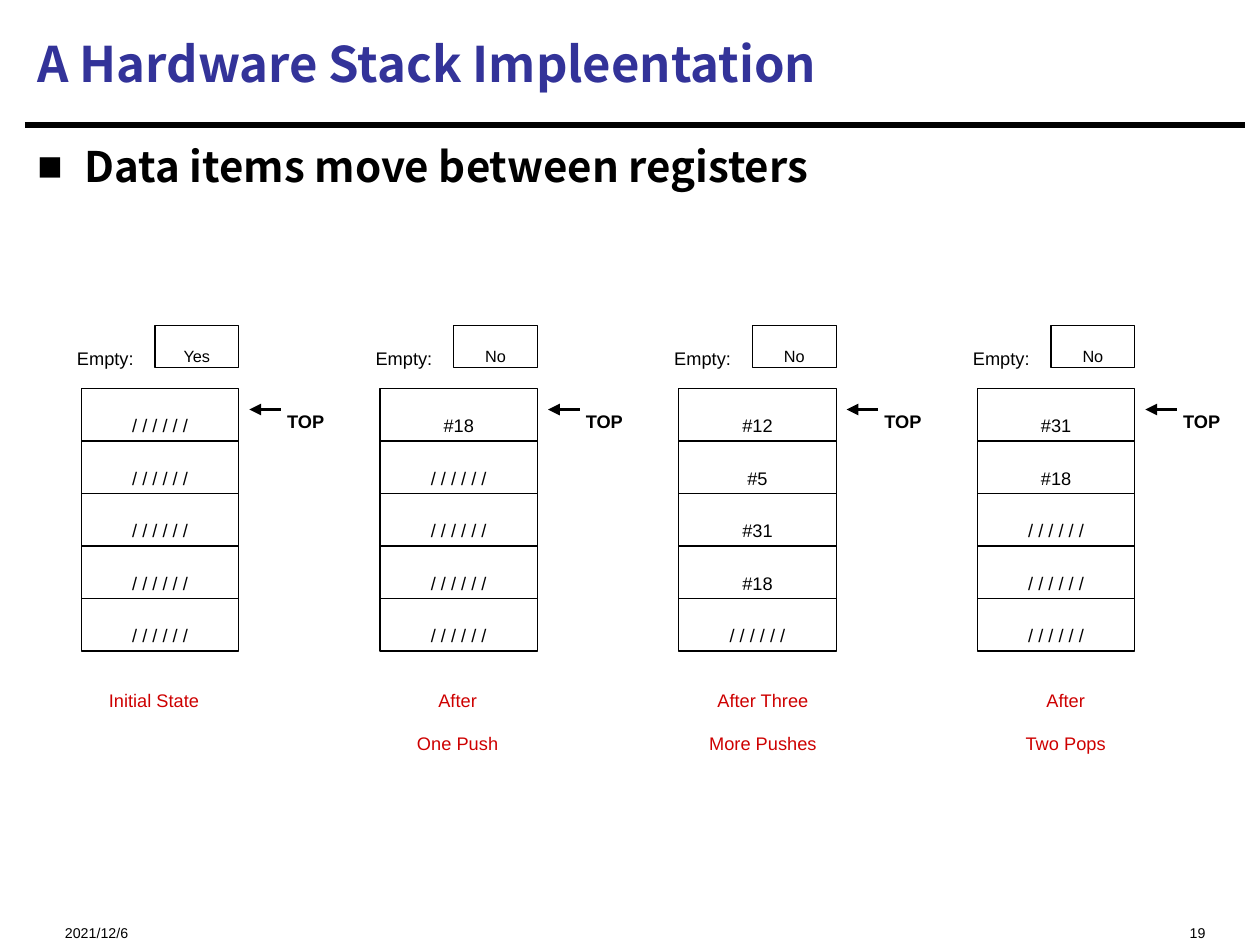
from lxml import etree
from pptx import Presentation
from pptx.dml.color import RGBColor
from pptx.enum.shapes import MSO_CONNECTOR, MSO_SHAPE
from pptx.enum.text import MSO_ANCHOR, MSO_AUTO_SIZE, PP_ALIGN
from pptx.oxml.ns import qn
from pptx.util import Pt

LEFT, CENTER, RIGHT = PP_ALIGN.LEFT, PP_ALIGN.CENTER, PP_ALIGN.RIGHT
TOP, MIDDLE = MSO_ANCHOR.TOP, MSO_ANCHOR.MIDDLE
GROW = MSO_AUTO_SIZE.SHAPE_TO_FIT_TEXT
RECTANGLE, STRAIGHT = MSO_SHAPE.RECTANGLE, MSO_CONNECTOR.STRAIGHT

BLACK, NAVY, RED = "000000", "333399", "CE0000"
HEADING = {"name": "Noto Sans CJK SC", "bold": True}
LABEL = {"name": "Arial", "size": Pt(18)}
SMALL = {**LABEL, "size": Pt(16)}
FOOTER = {**LABEL, "size": Pt(14)}
HUGGING = {"word_wrap": False, "auto_size": GROW}

FIRST_STACK_X, STACK_PITCH = 46.5, 170.67
STACK_Y, CELL_WIDTH, CELL_HEIGHT = 222, 90, 30
DEPTH = 5
UNUSED = "/ / / / / /"
STACKS = [
    ("Yes", [], ["Initial State"], (36, 104)),
    ("No", ["#18"], ["After", "One Push"], (214, 95)),
    ("No", ["#12", "#5", "#31", "#18"], ["After Three", "More Pushes"], (375, 122)),
    ("No", ["#31", "#18"], ["After", "Two Pops"], (562, 94)),
]


def color(hex_string):
    """Return the colour for a hex string."""
    return RGBColor.from_string(hex_string)


def apply(target, values):
    """Set each attribute of the target from a dict."""
    for attribute, value in values.items():
        setattr(target, attribute, value)


def write(frame, lines, font, ink=BLACK, align=LEFT, lowered=True):
    """Write one paragraph a line, lowered as subscript if asked."""
    for number, line in enumerate(lines):
        paragraph = frame.add_paragraph() if number else frame.paragraphs[0]
        paragraph.alignment = align
        run = paragraph.add_run()
        run.text = line
        apply(run.font, font)
        run.font.color.rgb = color(ink)
        if lowered:
            run.font._element.set("baseline", "-25000")


def add_text(slide, box, lines, font, layout, **style):
    """Add a text box and return its text frame."""
    frame = slide.shapes.add_textbox(*map(Pt, box)).text_frame
    apply(frame, layout)
    write(frame, lines, font, **style)
    return frame


def add_register(slide, box, content, font):
    """Add an outlined box with a centred value."""
    register = slide.shapes.add_shape(RECTANGLE, *map(Pt, box))
    register.shadow.inherit = False
    register.fill.background()
    register.line.color.rgb = color(BLACK)
    register.line.width = Pt(0.75)
    apply(register.text_frame, {"word_wrap": False, "vertical_anchor": MIDDLE})
    write(register.text_frame, [content], font, align=CENTER)


def add_line(slide, start, end, width, arrow=False):
    """Add a straight black line, with an arrowhead at its end if asked."""
    line = slide.shapes.add_connector(STRAIGHT, *map(Pt, (*start, *end)))
    line.line.color.rgb = color(BLACK)
    line.line.width = Pt(width)
    if arrow:
        head = etree.SubElement(line.line._get_or_add_ln(), qn("a:tailEnd"))
        head.set("type", "triangle")
    etree.SubElement(line._element.spPr, qn("a:effectLst"))


def add_bullet(paragraph, indent):
    """Give the paragraph a square bullet with a hanging indent."""
    properties = paragraph._p.get_or_add_pPr()
    properties.set("marL", str(Pt(indent)))
    properties.set("indent", str(-Pt(indent)))
    etree.SubElement(properties, qn("a:buFont")).set("typeface", "Arial")
    etree.SubElement(properties, qn("a:buChar")).set("char", "■")


def add_stack(slide, x, empty, items, caption, caption_span):
    """Add one stack with its empty flag, top pointer and caption."""
    contents = items + [UNUSED] * (DEPTH - len(items))
    for row, content in enumerate(contents):
        cell = (x, STACK_Y + row * CELL_HEIGHT, CELL_WIDTH, CELL_HEIGHT)
        add_register(slide, cell, content, LABEL)
    add_register(slide, (x + 42, 186, 48, 24), empty, SMALL)
    add_text(slide, (x - 33.5, 183, 70.5, 29), ["Empty:"], LABEL, HUGGING, align=RIGHT)
    add_text(slide, (x + 110.5, 219, 52, 29), ["TOP"], {**LABEL, "bold": True}, HUGGING)
    add_line(slide, (x + 114, 234), (x + 96, 234), 2.25, arrow=True)
    left, width = caption_span
    add_text(slide, (left, 378, width, 29 + 22 * (len(caption) - 1)), caption,
             LABEL, HUGGING, ink=RED, align=CENTER)


def main():
    """Build the slide and save it."""
    deck = Presentation()
    deck.slide_width, deck.slide_height = Pt(720), Pt(540)
    slide = deck.slides.add_slide(deck.slide_layouts[6])

    add_line(slide, (14.25, 71.5), (711.5, 71.5), 3.75)
    add_text(slide, (14.25, 6, 696.5, 60), ["A Hardware Stack Impleentation"],
             {**HEADING, "size": Pt(28)}, {"word_wrap": True, "vertical_anchor": MIDDLE},
             ink=NAVY, lowered=False)
    body = add_text(slide, (14.25, 77, 696.5, 431), ["Data items move between registers"],
                    {**HEADING, "size": Pt(24)}, {"word_wrap": True, "vertical_anchor": TOP},
                    lowered=False)
    add_bullet(body.paragraphs[0], 27)
    add_text(slide, (30, 515, 180, 19.5), ["2021/12/6"], FOOTER, {"word_wrap": True})
    add_text(slide, (480, 515, 216, 19.5), ["19"], FOOTER, {"word_wrap": True}, align=RIGHT)

    for number, stack in enumerate(STACKS):
        add_stack(slide, FIRST_STACK_X + number * STACK_PITCH, *stack)

    deck.save("out.pptx")


if __name__ == "__main__":
    main()
